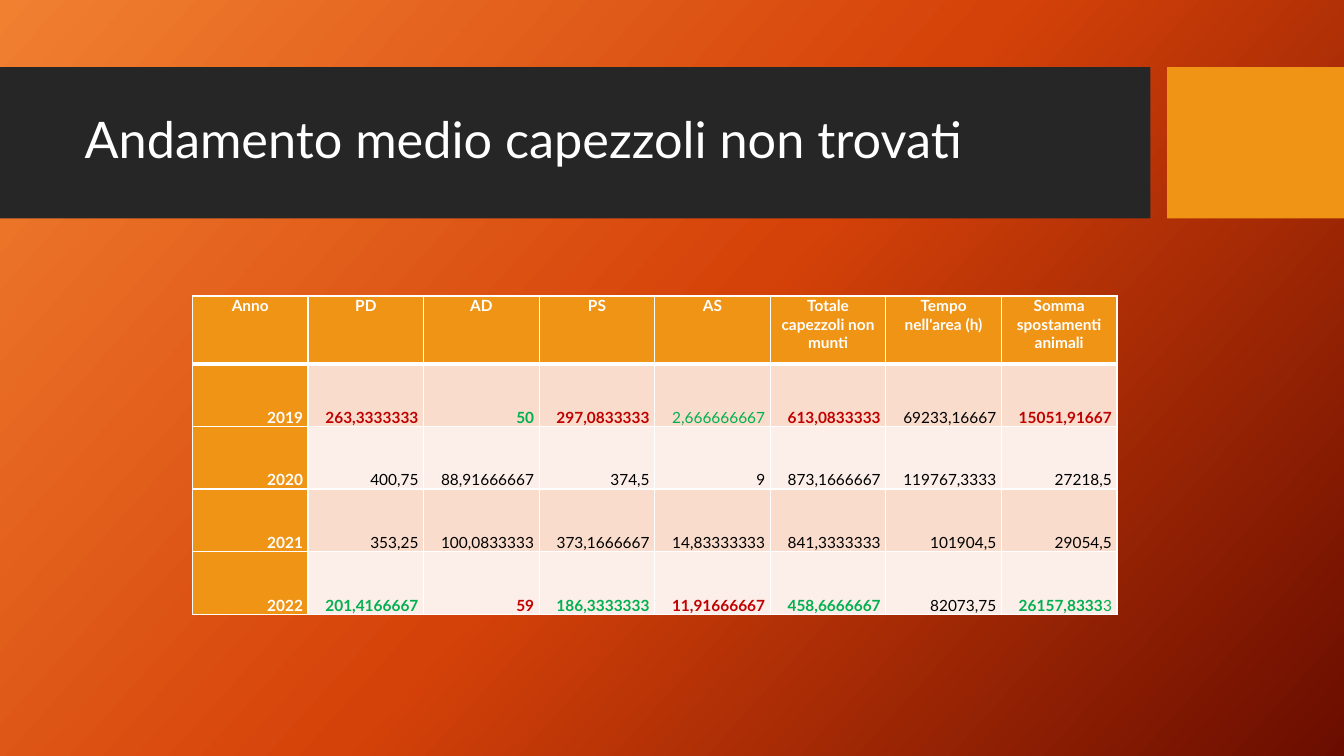
import copy

import pptx
import pptx.dml.color
import pptx.enum.shapes
import pptx.enum.text
import pptx.oxml
import pptx.oxml.ns
import pptx.util

Pt = pptx.util.Pt
ALIGN = pptx.enum.text.PP_ALIGN
ANCHOR = pptx.enum.text.MSO_ANCHOR

FONT = "Lato"
WHITE, BLACK, ORANGE = "FFFFFF", "000000", "F09415"
STRIPES = ["F9DCCC", "FCEEE8"]

# Text styles of the values: colour and weight
PLAIN = (BLACK, False)
LABEL = (WHITE, True)
GOOD = ("00B050", True)
GOOD_LIGHT = ("00B050", False)
BAD = ("C00000", True)

HEADINGS = ["Anno", "PD", "AD", "PS", "AS", "Totale capezzoli non munti",
            "Tempo nell'area (h)", "Somma spostamenti animali"]
VALUES = [
    ["2019", "263,3333333", "50", "297,0833333", "2,666666667",
     "613,0833333", "69233,16667", "15051,91667"],
    ["2020", "400,75", "88,91666667", "374,5", "9",
     "873,1666667", "119767,3333", "27218,5"],
    ["2021", "353,25", "100,0833333", "373,1666667", "14,83333333",
     "841,3333333", "101904,5", "29054,5"],
    ["2022", "201,4166667", "59", "186,3333333", "11,91666667",
     "458,6666667", "82073,75", "26157,83333"],
]
YEAR_STYLES = {
    "2019": [LABEL, BAD, GOOD, BAD, GOOD_LIGHT, BAD, PLAIN, BAD],
    "2022": [LABEL, GOOD, BAD, GOOD, BAD, GOOD, PLAIN, GOOD],
}
USUAL_STYLES = [LABEL] + [PLAIN] * 7


def colour(code):
    return pptx.dml.color.RGBColor.from_string(code)


def set_background(page, codes, clockwise_angle):
    """Fill the page with a linear gradient of evenly spaced colours."""
    fill = page.background.fill
    fill.gradient()
    fill.gradient_angle = 360 - clockwise_angle
    first = fill.gradient_stops[0]._gs
    for _ in codes[2:]:
        first.addnext(copy.deepcopy(first))
    for index, (stop, code) in enumerate(zip(fill.gradient_stops, codes)):
        stop.color.rgb = colour(code)
        stop._gs.set("pos", str(100000 * index // (len(codes) - 1)))


def add_band(page, left, width, code):
    """Add a bar of the title strip, behind the title."""
    band = page.shapes.add_shape(pptx.enum.shapes.MSO_SHAPE.RECTANGLE,
                                 Pt(left), Pt(48), Pt(width), Pt(108))
    band.shadow.inherit = False
    band.fill.solid()
    band.fill.fore_color.rgb = colour(code)
    band.line.fill.background()
    page.shapes.title._element.addprevious(band._element)


def add_span(para, text, size, code, bold=False):
    span = para.add_run()
    span.text = text
    span.font.name = FONT
    span.font.size = Pt(size)
    span.font.bold = bold
    span.font.color.rgb = colour(code)


def set_title(page, text):
    title = page.shapes.title
    title.left, title.top, title.width, title.height = Pt(53.3), Pt(59), Pt(756.7), Pt(85)
    frame = title.text_frame
    frame.word_wrap = True
    frame.auto_size = pptx.enum.text.MSO_AUTO_SIZE.NONE
    frame.vertical_anchor = ANCHOR.MIDDLE
    para = frame.paragraphs[0]
    para.alignment = ALIGN.LEFT
    para.line_spacing = 0.9
    add_span(para, text, 36, WHITE)


def set_borders(cell, **widths):
    """Draw white cell borders; widths are keyed by side: L, R, T, B."""
    properties = cell._tc.get_or_add_tcPr()
    for side, width in widths.items():
        properties.append(pptx.oxml.parse_xml(
            f'<a:ln{side} {pptx.oxml.ns.nsdecls("a")} w="{Pt(width)}">'
            f'<a:solidFill><a:srgbClr val="{WHITE}"/></a:solidFill></a:ln{side}>'))


def fill_cell(cell, spans, fill_code, alignment, anchor, top=1, bottom=1):
    """Format a cell; spans are pairs of text and style."""
    cell.margin_left = cell.margin_right = Pt(3.6)
    cell.margin_top = cell.margin_bottom = Pt(0)
    cell.vertical_anchor = anchor
    set_borders(cell, L=1, R=1, T=top, B=bottom)
    cell.fill.solid()
    cell.fill.fore_color.rgb = colour(fill_code)
    para = cell.text_frame.paragraphs[0]
    para.alignment = alignment
    for text, (code, bold) in spans:
        add_span(para, text, 11, code, bold)


def add_yearly_table(page):
    table = page.shapes.add_table(len(VALUES) + 1, len(HEADINGS), Pt(137.5), Pt(211.5),
                                  Pt(660.4), Pt(227.5)).table
    for column in table.columns:
        column.width = Pt(82.55)
    for index, row in enumerate(table.rows):
        row.height = Pt(44.8 if index else 48.3)

    for column, heading in enumerate(HEADINGS):
        fill_cell(table.cell(0, column), [(heading, LABEL)], ORANGE,
                  ALIGN.CENTER, ANCHOR.TOP, bottom=3)
    for row, values in enumerate(VALUES, start=1):
        styles = YEAR_STYLES.get(values[0], USUAL_STYLES)
        for column, (value, style) in enumerate(zip(values, styles)):
            spans = [(value, style)]
            if value == "26157,83333":
                spans = [(value[:-1], GOOD), (value[-1], GOOD_LIGHT)]
            fill_code = STRIPES[(row - 1) % 2] if column else ORANGE
            fill_cell(table.cell(row, column), spans, fill_code,
                      ALIGN.RIGHT, ANCHOR.BOTTOM, top=3 if row == 1 else 1)


def main():
    deck = pptx.Presentation()
    deck.slide_width, deck.slide_height = Pt(960), Pt(540)
    page = deck.slides.add_slide(deck.slide_layouts.get_by_name("Title Only"))
    set_background(page, ["F18031", "D54209", "6A0D00"], 42)
    add_band(page, 0, 821.75, "262626")
    add_band(page, 833.75, 126.25, ORANGE)
    set_title(page, "Andamento medio capezzoli non trovati")
    add_yearly_table(page)
    deck.save("out.pptx")


if __name__ == "__main__":
    main()
